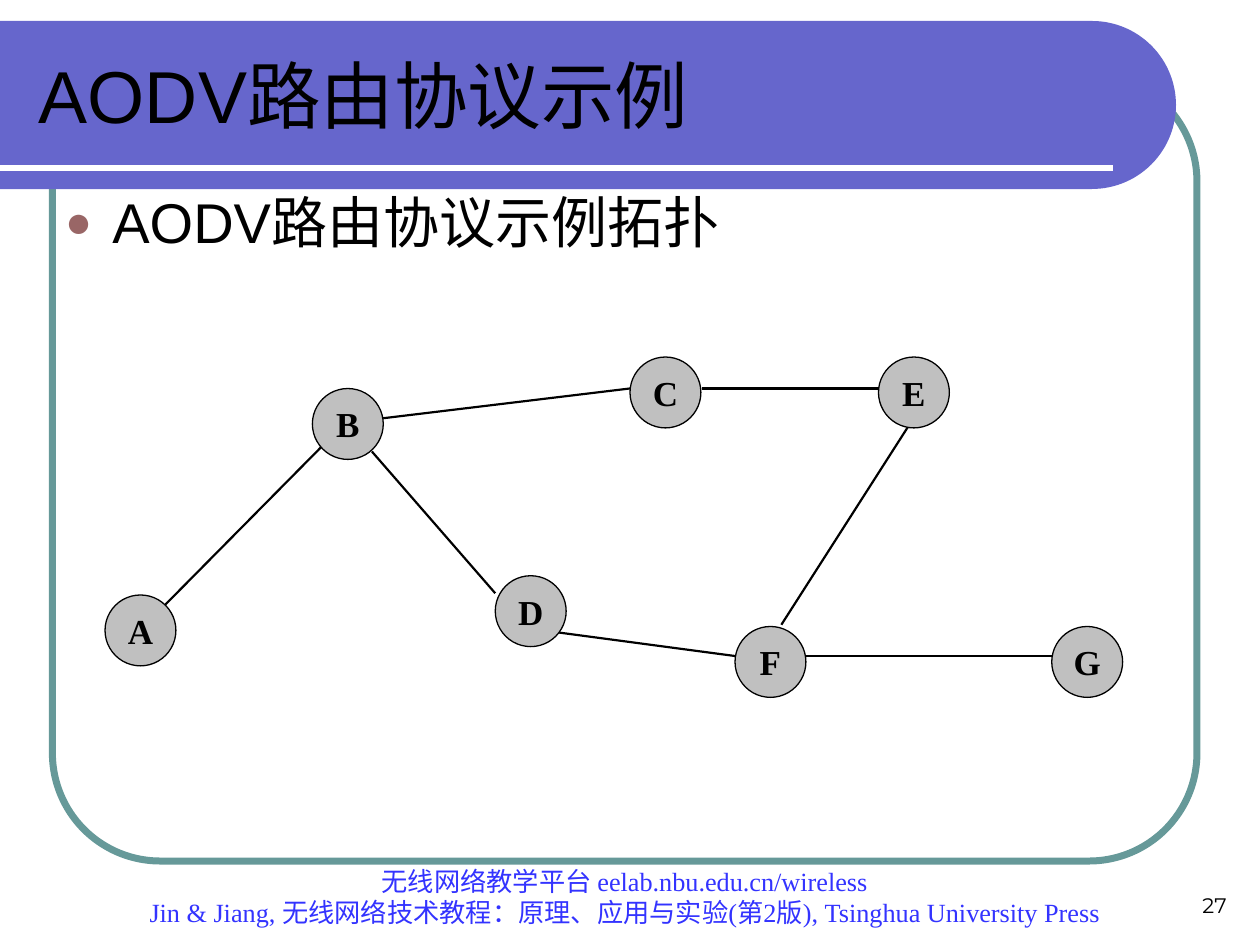
from math import cos, pi, sin

from lxml.etree import SubElement
from pptx import Presentation
from pptx.dml.color import RGBColor
from pptx.enum.shapes import MSO_CONNECTOR, MSO_SHAPE
from pptx.enum.text import MSO_ANCHOR, MSO_AUTO_SIZE, PP_ALIGN
from pptx.oxml.ns import qn
from pptx.util import Pt

COLORS = {
    "frame": "669999",
    "banner": "6666CC",
    "rule": "FFFFFF",
    "footer": "3333FF",
    "bullet": "996666",
    "node": "C0C0C0",
    "text": "000000",
}
SERIF = "Times New Roman"

NODE_SIZE = 40.5
NODES = {
    "A": (0, 136), "B": (118.5, 18), "C": (300, 0), "D": (223, 125),
    "E": (442, 0), "F": (360, 154), "G": (541, 154),
}
LINKS = [
    (34.5, 141.5, 127, 48),      # A-B
    (159, 35, 300, 18),          # B-C
    (341, 18, 442, 18),          # C-E
    (152.5, 54, 223, 135),       # B-D
    (259.5, 157.5, 361, 171),    # D-F
    (386.5, 153, 462, 35),       # F-E
    (400.5, 171, 541, 171),      # F-G
]


def color(name):
    return RGBColor.from_string(COLORS[name])


def add_run(p, text, size, font, fill="text", bold=False):
    r = p.add_run()
    r.text = text
    r.font.size, r.font.name, r.font.bold = Pt(size), font, bold
    r.font.color.rgb = color(fill)


def add_line(s, x1, y1, x2, y2, line, width):
    sp = s.shapes.add_connector(MSO_CONNECTOR.STRAIGHT, Pt(x1), Pt(y1), Pt(x2), Pt(y2))
    sp.line.color.rgb = color(line)
    sp.line.width = Pt(width)
    SubElement(sp.element.spPr, qn("a:effectLst"))


def add_text(s, box, lines, size, font, fill, align):
    """Bottom-anchored text box with one paragraph per line."""
    tf = s.shapes.add_textbox(*map(Pt, box)).text_frame
    tf.word_wrap = True
    tf.vertical_anchor = MSO_ANCHOR.BOTTOM
    for i, line in enumerate(lines):
        p = tf.add_paragraph() if i else tf.paragraphs[0]
        p.alignment = align
        add_run(p, line, size, font, fill)


def add_frame(s, box):
    sp = s.shapes.add_shape(MSO_SHAPE.ROUNDED_RECTANGLE, *map(Pt, box))
    sp.adjustments[0] = 0.137
    sp.shadow.inherit = False
    sp.fill.background()
    sp.line.color.rgb = color("frame")
    sp.line.width = Pt(4)


def add_banner(s, box):
    """Bar with a half-round right end and a rule near its lower edge."""
    x, y, w, h = box
    radius, steps = h / 2, 60
    cx, cy = x + w - radius, y + radius
    angles = [pi * i / steps - pi / 2 for i in range(steps + 1)]
    arc = [(cx + radius * cos(a), cy + radius * sin(a)) for a in angles]
    builder = s.shapes.build_freeform(Pt(x), Pt(y))
    builder.add_line_segments([(Pt(px), Pt(py)) for px, py in arc + [(x, y + h)]])
    sp = builder.convert_to_shape()
    sp.shadow.inherit = False
    sp.fill.solid()
    sp.fill.fore_color.rgb = color("banner")
    sp.line.fill.background()
    add_line(s, x, y + h - 12, x + w - 36, y + h - 12, "rule", 3)


def place(sp, box, anchor):
    """Set a placeholder in its box, in front of what is already drawn."""
    sp.left, sp.top, sp.width, sp.height = map(Pt, box)
    sp.element.getparent().append(sp.element)
    tf = sp.text_frame
    tf.auto_size = MSO_AUTO_SIZE.NONE
    tf.vertical_anchor = anchor
    p = tf.paragraphs[0]
    p.alignment = PP_ALIGN.LEFT
    p.space_before = Pt(0)
    return p


def add_title(s, box):
    p = place(s.shapes.title, box, MSO_ANCHOR.MIDDLE)
    add_run(p, "AODV路由协议示例", 42, "Arial")


def add_body(s, box):
    p = place(s.placeholders[1], box, MSO_ANCHOR.TOP)
    p.line_spacing = 0.9
    pPr = p._p.get_or_add_pPr()
    pPr.set("marL", str(Pt(27)))
    pPr.set("indent", str(Pt(-27)))
    SubElement(SubElement(pPr, qn("a:buClr")), qn("a:srgbClr"), val=COLORS["bullet"])
    SubElement(pPr, qn("a:buSzPct"), val="80000")
    SubElement(pPr, qn("a:buFont"), typeface="Arial")
    SubElement(pPr, qn("a:buChar"), char="●")
    add_run(p, "AODV路由协议示例拓扑", 32, "Arial")


def add_node(s, name, x, y):
    sp = s.shapes.add_shape(MSO_SHAPE.OVAL, Pt(x), Pt(y), Pt(NODE_SIZE), Pt(NODE_SIZE))
    sp.shadow.inherit = False
    sp.fill.solid()
    sp.fill.fore_color.rgb = color("node")
    sp.line.color.rgb = color("text")
    sp.line.width = Pt(0.75)
    tf = sp.text_frame
    tf.margin_left = tf.margin_top = tf.margin_right = tf.margin_bottom = 0
    tf.vertical_anchor = MSO_ANCHOR.MIDDLE
    p = tf.paragraphs[0]
    p.alignment = PP_ALIGN.CENTER
    add_run(p, name, 20, SERIF, bold=True)


def add_topology(s, left, top):
    for x1, y1, x2, y2 in LINKS:
        add_line(s, left + x1, top + y1, left + x2, top + y2, "text", 1.25)
    for name, (x, y) in NODES.items():
        add_node(s, name, left + x, top + y)


def add_footer(s, box, number_box):
    lines = [
        "无线网络教学平台 eelab.nbu.edu.cn/wireless",
        "Jin & Jiang, 无线网络技术教程：原理、应用与实验(第2版), Tsinghua University Press",
    ]
    add_text(s, box, lines, 15, SERIF, "footer", PP_ALIGN.CENTER)
    add_text(s, number_box, ["27"], 12, "Montserrat", "text", PP_ALIGN.RIGHT)


def main():
    prs = Presentation()
    prs.slide_width, prs.slide_height = Pt(720), Pt(540)
    s = prs.slides.add_slide(prs.slide_layouts[1])
    add_frame(s, (30, 42, 654, 450))
    add_banner(s, (0, 12, 672, 96))
    add_footer(s, (54, 504, 606, 30), (540, 492, 168, 36))
    add_title(s, (15, 18, 631.5, 72))
    add_body(s, (30, 108, 642, 42))
    add_topology(s, 60, 204)
    prs.save("out.pptx")


if __name__ == "__main__":
    main()
